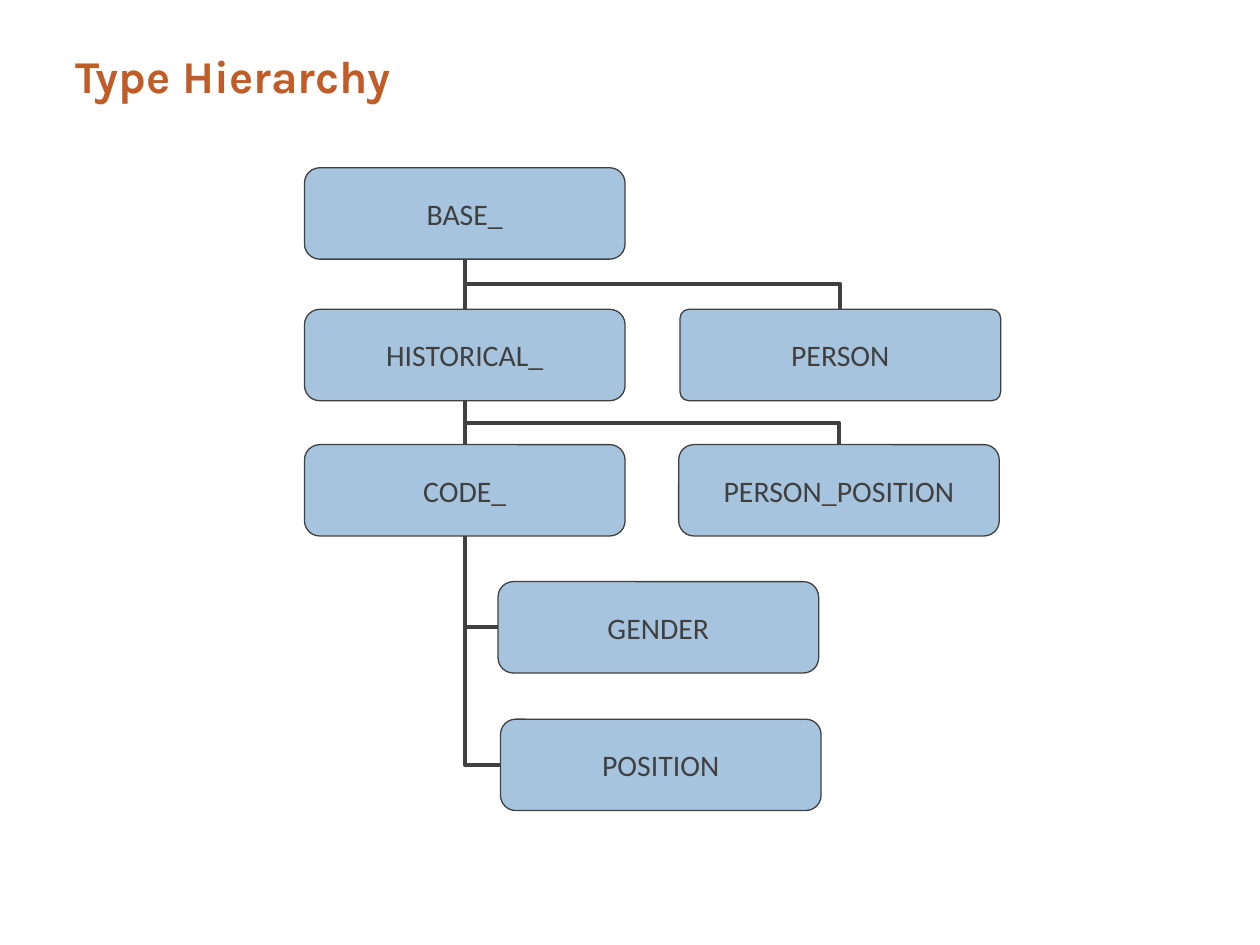
from lxml import etree
from pptx import Presentation
from pptx.dml.color import RGBColor
from pptx.enum.shapes import MSO_CONNECTOR, MSO_SHAPE
from pptx.enum.text import MSO_ANCHOR, PP_ALIGN
from pptx.oxml.ns import qn
from pptx.util import Pt

STRAIGHT, ELBOW = MSO_CONNECTOR.STRAIGHT, MSO_CONNECTOR.ELBOW
ROUNDED = MSO_SHAPE.ROUNDED_RECTANGLE
TOP, MIDDLE, CENTER = MSO_ANCHOR.TOP, MSO_ANCHOR.MIDDLE, PP_ALIGN.CENTER

ORANGE = RGBColor(0xBF, 0x5C, 0x28)
BLUE = RGBColor(0xA6, 0xC4, 0xDE)
DARK = RGBColor(0x40, 0x40, 0x40)

BOX_W, BOX_H = 183.2, 52.2

# Type name: left, top, corner rounding
BOXES = {
    "BASE_": (174, 95.9, 0.167),
    "HISTORICAL_": (174, 176.8, 0.167),
    "PERSON": (388.6, 176.8, 0.096),
    "CODE_": (174, 254.1, 0.167),
    "GENDER": (284.6, 332.4, 0.167),
    "PERSON_POSITION": (387.8, 254.1, 0.167),
    "POSITION": (286, 411, 0.167),
}
# Parent, child, route
LINKS = [
    ("CODE_", "POSITION", "side"),
    ("HISTORICAL_", "PERSON_POSITION", "top"),
    ("CODE_", "GENDER", "side"),
    ("HISTORICAL_", "CODE_", "straight"),
    ("BASE_", "PERSON", "top"),
    ("BASE_", "HISTORICAL_", "straight"),
]


def add_link(kind, x1, y1, x2, y2):
    c = s.shapes.add_connector(kind, Pt(x1), Pt(y1), Pt(x2), Pt(y2))
    c.line.color.rgb = DARK
    c.line.width = Pt(2.25)
    spPr = c._element.spPr
    etree.SubElement(spPr, qn("a:effectLst"))
    return spPr


prs = Presentation()
prs.slide_width, prs.slide_height = Pt(720), Pt(540)
s = prs.slides.add_slide(prs.slide_layouts[6])

# Title
tf = s.shapes.add_textbox(Pt(36), Pt(21.6), Pt(648), Pt(90)).text_frame
tf.word_wrap = True
tf.vertical_anchor = TOP
tf.margin_top = Pt(6)
p = tf.paragraphs[0]
p.text = "Type Hierarchy"
p.font.name, p.font.size, p.font.bold = "Karla", Pt(26), True
p.font.color.rgb = ORANGE

# Links, from child up to parent, behind the boxes
for parent, child, route in LINKS:
    px, py, _ = BOXES[parent]
    cx, cy, _ = BOXES[child]
    px, py = px + BOX_W / 2, py + BOX_H
    if route == "straight":
        add_link(STRAIGHT, px, cy, px, py)
    elif route == "side":
        spPr = add_link(ELBOW, cx, cy + BOX_H / 2, px, py)
        spPr.find(qn("a:prstGeom")).set("prst", "bentConnector2")
    else:
        # Vertical-first elbow: a quarter turn about the midpoint
        cx += BOX_W / 2
        mx, my = (px + cx) / 2, (py + cy) / 2
        dx, dy = (cy - py) / 2, (cx - px) / 2
        spPr = add_link(ELBOW, mx - dx, my + dy, mx + dx, my - dy)
        spPr.find(qn("a:xfrm")).set("rot", str(270 * 60000))

# Type boxes
for name, (x, y, rounding) in BOXES.items():
    sp = s.shapes.add_shape(ROUNDED, Pt(x), Pt(y), Pt(BOX_W), Pt(BOX_H))
    sp.adjustments[0] = rounding
    sp.shadow.inherit = False
    sp.fill.solid()
    sp.fill.fore_color.rgb = BLUE
    sp.line.color.rgb = DARK
    sp.line.width = Pt(0.75)
    tf = sp.text_frame
    tf.word_wrap = False
    tf.vertical_anchor = MIDDLE
    tf.margin_left = tf.margin_right = tf.margin_top = tf.margin_bottom = 0
    p = tf.paragraphs[0]
    p.text = name
    p.alignment = CENTER
    p.font.name, p.font.size = "Calibri", Pt(17)
    p.font.color.rgb = DARK

prs.save("out.pptx")
